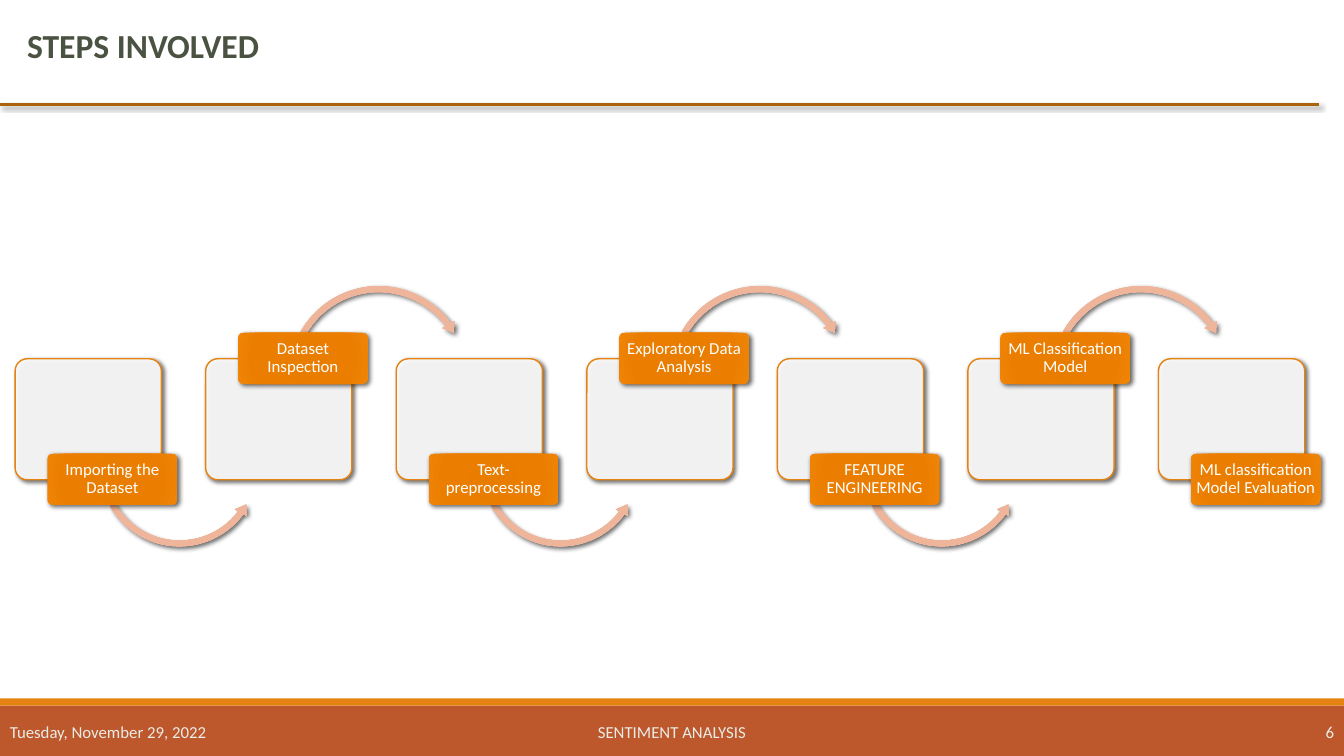
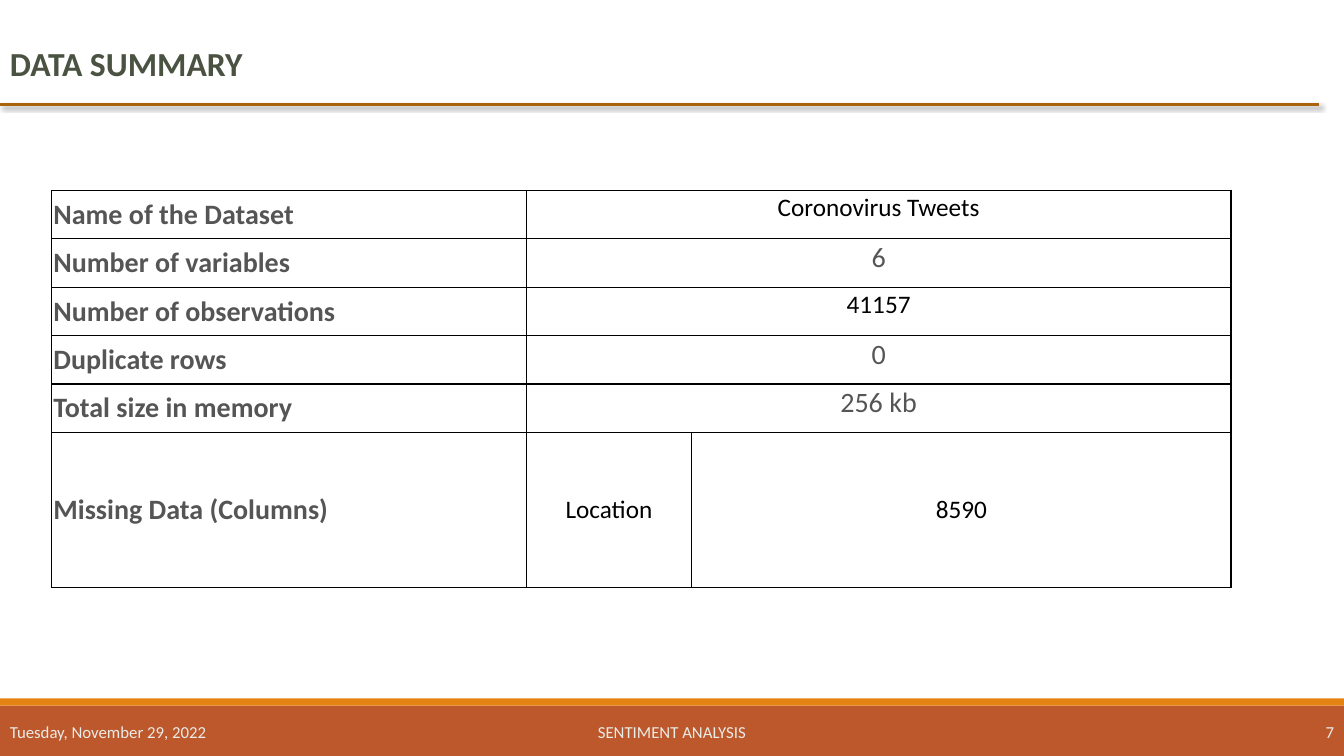
"""Build two slides: the steps of a sentiment study and its data summary."""
from dataclasses import dataclass
from typing import Any

from pptx import Presentation
from pptx.dml.color import RGBColor
from pptx.enum.shapes import MSO_CONNECTOR, MSO_SHAPE
from pptx.enum.text import MSO_ANCHOR, MSO_AUTO_SIZE, PP_ALIGN
from pptx.oxml import parse_xml
from pptx.oxml.ns import nsdecls, qn
from pptx.util import Inches, Pt

RECT, ROUND = MSO_SHAPE.RECTANGLE, MSO_SHAPE.ROUNDED_RECTANGLE
OVER, UNDER = MSO_SHAPE.CIRCULAR_ARROW, MSO_SHAPE.LEFT_CIRCULAR_ARROW
LINE = MSO_CONNECTOR.STRAIGHT
LEFT, MID, RIGHT = PP_ALIGN.LEFT, PP_ALIGN.CENTER, PP_ALIGN.RIGHT
TOP, CENTER = MSO_ANCHOR.TOP, MSO_ANCHOR.MIDDLE
GROW = MSO_AUTO_SIZE.SHAPE_TO_FIT_TEXT

FONT = "Calibri"
WIDE, HIGH = 13.33, 7.5
PITCH = 1.89
HUES = {
    "white": "FFFFFF", "black": "000000", "grey": "555555",
    "title": "4A5242", "foot": "EAECE7", "rust": "BD582C",
    "orange": "E48312", "rule": "AB620D",
}
STOPS = (0, 34, 70, 100)
GLOW = {
    "arrow": ("E8B196", "E9B399", "EEB59A", "F3C0A8"),
    "label": ("E57B00", "E87D00", "EB7E00", "EF8407"),
}


@dataclass(frozen=True)
class Box:
    left: float
    top: float
    width: float
    height: float

    def spans(self) -> list[int]:
        return [Inches(n) for n in (self.left, self.top, self.width, self.height)]


@dataclass(frozen=True)
class Type:
    size: int
    hue: str
    bold: bool = False
    align: Any = LEFT
    anchor: Any = CENTER


@dataclass(frozen=True)
class Turn:
    kind: Any
    shift: float
    top: float
    size: float
    bends: tuple[float, ...]
    label: float


@dataclass(frozen=True)
class Row:
    name: str
    vals: tuple[str, ...]
    type: Type
    height: float = 0.48


HEAD = Type(24, "title", True, LEFT, TOP)
TAG = Type(12, "white", align=MID)
NAME = Type(20, "grey", True)
DARK = Type(18, "black", align=MID, anchor=TOP)
PALE = Type(20, "grey", align=MID, anchor=TOP)

TURNS = (
    Turn(UNDER, 0.8, 3.8, 1.66, (0.035, 4.385, 22.14, 90.245, 0.041), 4.5),
    Turn(OVER, 0.79, 2.8, 1.85, (0.032, 3.912, 194.333, 125.755, 0.037), 3.3),
)
STEPS = (
    "Importing the Dataset", "Dataset Inspection", "Text-preprocessing",
    "Exploratory Data Analysis", "FEATURE ENGINEERING",
    "ML Classification Model", "ML classification Model Evaluation",
)
ROWS = (
    Row("Name of the Dataset", ("Coronovirus Tweets",), DARK),
    Row("Number of variables", ("6",), PALE),
    Row("Number of observations", ("41157",), DARK),
    Row("Duplicate rows", ("0",), PALE),
    Row("Total size in memory", ("256 kb",), PALE),
    Row("Missing Data (Columns)", ("Location", "8590"),
        Type(18, "black", align=MID), 1.54),
)
COLS = (4.71, 1.64, 5.35)


def tint(hue: str) -> RGBColor:
    return RGBColor.from_string(HUES[hue])


def write(frame: Any, text: str, style: Type) -> None:
    frame.word_wrap = True
    para = frame.paragraphs[0]
    para.alignment = style.align
    run = para.add_run()
    run.text = text
    font = run.font
    font.name, font.size, font.bold = FONT, Pt(style.size), style.bold
    font.color.rgb = tint(style.hue)


def note(slide: Any, box: Box, text: str, style: Type) -> Any:
    frame = slide.shapes.add_textbox(*box.spans()).text_frame
    frame.vertical_anchor = style.anchor
    write(frame, text, style)
    return frame


def shade(shape: Any, blur: float) -> None:
    shape._element.spPr.append(parse_xml(
        f'<a:effectLst {nsdecls("a")}><a:outerShdw blurRad="{Pt(blur)}" '
        f'dist="{Pt(2)}" dir="2700000" algn="tl" rotWithShape="0">'
        f'<a:srgbClr val="{HUES["black"]}"><a:alpha val="60000"/></a:srgbClr>'
        '</a:outerShdw></a:effectLst>'))


def solid(slide: Any, box: Box, hue: str, kind: Any = RECT) -> Any:
    shape = slide.shapes.add_shape(kind, *box.spans())
    shape.fill.solid()
    shape.fill.fore_color.rgb = tint(hue)
    shape.line.fill.background()
    return shape


def glow(slide: Any, box: Box, kind: Any, bends: tuple[float, ...], key: str) -> Any:
    shape = slide.shapes.add_shape(kind, *box.spans())
    for idx, bend in enumerate(bends):
        shape.adjustments[idx] = bend
    stops = "".join(
        f'<a:gs pos="{pos * 1000}"><a:srgbClr val="{hue}"/></a:gs>'
        for pos, hue in zip(STOPS, GLOW[key]))
    shape._element.spPr.append(parse_xml(
        f'<a:gradFill {nsdecls("a")} rotWithShape="1"><a:gsLst>{stops}</a:gsLst>'
        '<a:path path="circle"><a:fillToRect l="100000" t="100000" '
        'r="100000" b="100000"/></a:path></a:gradFill>'))
    shape.line.fill.background()
    shade(shape, 3.5)
    return shape


def card(slide: Any, box: Box) -> None:
    shape = solid(slide, box, "white", ROUND)
    shape.adjustments[0] = 0.1
    color = shape._element.spPr.find(qn("a:solidFill"))[0]
    color.append(parse_xml(f'<a:alpha {nsdecls("a")} val="90000"/>'))
    shape.line.color.rgb = tint("orange")
    shape.line.width = Pt(1)
    shade(shape, 3)


def base(deck: Any, title: str, box: Box, page: int) -> Any:
    slide = deck.slides.add_slide(deck.slide_layouts[6])
    for band, hue in ((Box(0, 7, WIDE, 0.5), "rust"),
                      (Box(0, 6.93, WIDE, 0.07), "orange")):
        solid(slide, band, hue).shadow.inherit = False
    rule = slide.shapes.add_connector(
        LINE, Inches(0), Inches(1.04), Inches(13.08), Inches(1.04))
    rule.line.color.rgb = tint("rule")
    rule.line.width = Pt(2)
    shade(rule, 3)
    note(slide, box, title, HEAD).auto_size = GROW
    for left, width, text, align in (
            (0, 2.7, "Tuesday, November 29, 2022", LEFT),
            (4.03, 5.27, "SENTIMENT ANALYSIS", MID),
            (11.9, 1.43, str(page), RIGHT)):
        note(slide, Box(left, 7.06, width, 0.4), text, Type(12, "foot", align=align))
    return slide


def flow(slide: Any) -> None:
    for idx, text in enumerate(STEPS):
        left = 0.15 + idx * PITCH
        turn = TURNS[idx % 2]
        card(slide, Box(left, 3.56, 1.45, 1.2))
        if idx < len(STEPS) - 1:
            arc = Box(left + turn.shift, turn.top, turn.size, turn.size)
            glow(slide, arc, turn.kind, turn.bends, "arrow")
        tag = Box(left + 0.32, turn.label, 1.29, 0.51)
        frame = glow(slide, tag, ROUND, (0.1,), "label").text_frame
        frame.margin_left = frame.margin_right = Inches(0.04)
        frame.margin_top = frame.margin_bottom = Inches(0.03)
        frame.vertical_anchor = CENTER
        write(frame, text, TAG)
        frame.paragraphs[0].line_spacing = 0.9


def edge(cell: Any) -> None:
    cell.fill.background()
    props = cell._tc.get_or_add_tcPr()
    for idx, side in enumerate("LRTB"):
        props.insert(idx, parse_xml(
            f'<a:ln{side} {nsdecls("a")} w="{Pt(1)}"><a:solidFill>'
            f'<a:srgbClr val="{HUES["black"]}"/></a:solidFill></a:ln{side}>'))


def fill(cell: Any, text: str, style: Type) -> None:
    cell.margin_left = cell.margin_right = Inches(0.02)
    cell.margin_top = cell.margin_bottom = Inches(0.02)
    cell.vertical_anchor = style.anchor
    write(cell.text_frame, text, style)


def grid(slide: Any) -> None:
    box = Box(0.51, 1.89, sum(COLS), sum(row.height for row in ROWS))
    table = slide.shapes.add_table(len(ROWS), len(COLS), *box.spans()).table
    table.first_row = table.horz_banding = False
    for col, width in zip(table.columns, COLS):
        col.width = Inches(width)
    for idx, row in enumerate(ROWS):
        table.rows[idx].height = Inches(row.height)
        for col in range(len(COLS)):
            edge(table.cell(idx, col))
        if len(row.vals) == 1:
            table.cell(idx, 1).merge(table.cell(idx, 2))
        fill(table.cell(idx, 0), row.name, NAME)
        for col, text in enumerate(row.vals, 1):
            fill(table.cell(idx, col), text, row.type)


def main() -> None:
    deck = Presentation()
    deck.slide_width, deck.slide_height = Inches(WIDE), Inches(HIGH)
    flow(base(deck, "STEPS INVOLVED", Box(0.17, 0.2, 5.91, 0.5), 6))
    grid(base(deck, "DATA SUMMARY", Box(0, 0.38, 3.14, 0.5), 7))
    deck.save("out.pptx")


if __name__ == "__main__":
    main()
